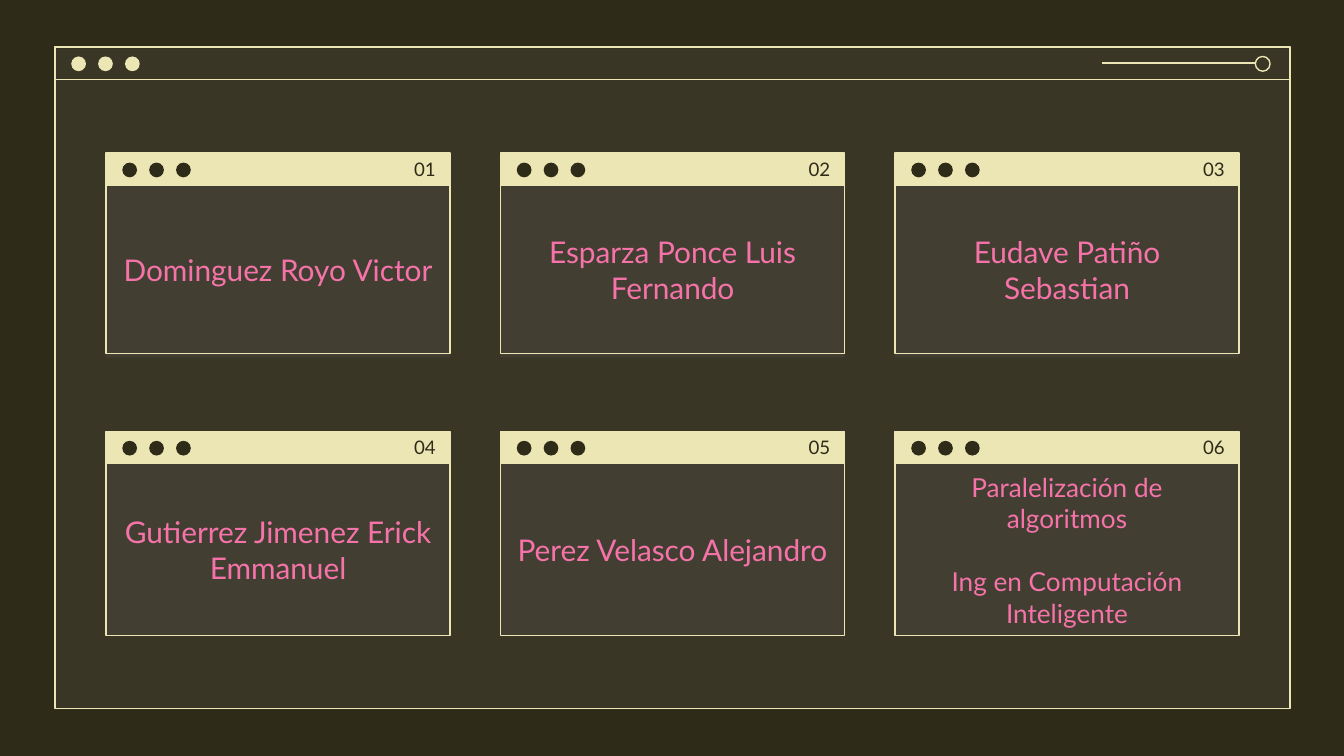
from pptx import Presentation
from pptx.dml.color import RGBColor as RGB
from pptx.enum.shapes import MSO_SHAPE as Kind, MSO_CONNECTOR as Link
from pptx.enum.text import MSO_ANCHOR as Anchor, PP_ALIGN as Align
from pptx.oxml.ns import qn
from pptx.util import Inches, Pt
from lxml.etree import SubElement as sub

HUES = {"dark": "2F2B19", "cream": "ECE5B4", "pink": "F673A9", "gray": "7C7C7C"}
NAMES = [
    ["Dominguez Royo Victor"],
    ["Esparza Ponce Luis Fernando"],
    ["Eudave Patiño Sebastian"],
    ["Gutierrez Jimenez Erick Emmanuel"],
    ["Perez Velasco Alejandro"],
    ["Paralelización de algoritmos", "Ing en Computación Inteligente"],
]
WIDE, BAR, DOT = 2.56, 0.24, 0.11
EDGE, LAST = 0.79, 6.66


def hue(name):
    return RGB.from_string(HUES[name])


def shape(slide, box, kind=Kind.RECTANGLE, fill=None, line=None, alpha=None):
    item = slide.shapes.add_shape(kind, *map(Inches, box))
    item.shadow.inherit = False
    if fill:
        item.fill.solid()
        item.fill.fore_color.rgb = hue(fill)
    else:
        item.fill.background()
    if line:
        item.line.color.rgb = hue(line)
        item.line.width = Pt(0.75)
    else:
        item.line.fill.background()
    if alpha:
        tint = item._element.spPr.find(".//" + qn("a:srgbClr"))
        sub(tint, qn("a:alpha"), val=str(alpha * 1000))
    return item


def write(item, lines, size, color, align):
    frame = item.text_frame
    frame.word_wrap = True
    frame.vertical_anchor = Anchor.MIDDLE
    frame.margin_left = frame.margin_right = Inches(0.1)
    frame.margin_top = frame.margin_bottom = Inches(0.1)
    for i, line in enumerate(lines):
        para = frame.add_paragraph() if i else frame.paragraphs[0]
        para.text = line
        para.alignment = align
        para.space_before = Pt(17 if i else 0)
        para.font.size = Pt(size)
        para.font.name = "Lato"
        para.font.color.rgb = hue(color)


def dots(slide, left, top, color):
    for i in range(3):
        box = (left + 0.2 * i, top + 0.07, DOT, DOT)
        shape(slide, box, Kind.OVAL, color)


def window(slide):
    shape(slide, (0.41, 0.36, 9.18, 4.92), fill="gray", alpha=14)
    for high in (4.92, BAR):
        shape(slide, (0.41, 0.35, 9.19, high), line="cream")
    dots(slide, 0.53, 0.35, "cream")
    shape(slide, (9.34, 0.42, DOT, DOT), Kind.OVAL, line="cream")
    ends = map(Inches, (8.2, 0.47, 9.34, 0.47))
    line = slide.shapes.add_connector(Link.STRAIGHT, *ends)
    line.line.color.rgb = hue("cream")
    line.line.width = Pt(0.75)
    sub(line._element.spPr, qn("a:effectLst"))


def card(slide, left, top, high, label, lines):
    shape(slide, (left, top, WIDE, 1.52), fill="gray", alpha=14)
    shape(slide, (left, top, WIDE, BAR), fill="cream", line="cream")
    dots(slide, left + 0.12, top, "dark")
    body = shape(slide, (left, top + BAR, WIDE, high), line="cream")
    write(body, lines, 14 if len(lines) > 1 else 16, "pink", Align.CENTER)
    box = map(Inches, (left + 1.16, top, 1.39, BAR))
    write(slide.shapes.add_textbox(*box), [label], 10, "dark", Align.RIGHT)


def main():
    deck = Presentation()
    deck.slide_width, deck.slide_height = Inches(10), Inches(10 * 9 / 16)
    slide = deck.slides.add_slide(deck.slide_layouts[6])
    back = slide.background.fill
    back.solid()
    back.fore_color.rgb = hue("dark")
    window(slide)
    step = (LAST - EDGE) / 2
    for i, lines in enumerate(NAMES):
        row, col = divmod(i, 3)
        left, top = EDGE + step * col, 1.14 + 2.07 * row
        card(slide, left, top, (1.25, 1.28)[row], f"{i + 1:02}", lines)
    deck.save("out.pptx")


main()
